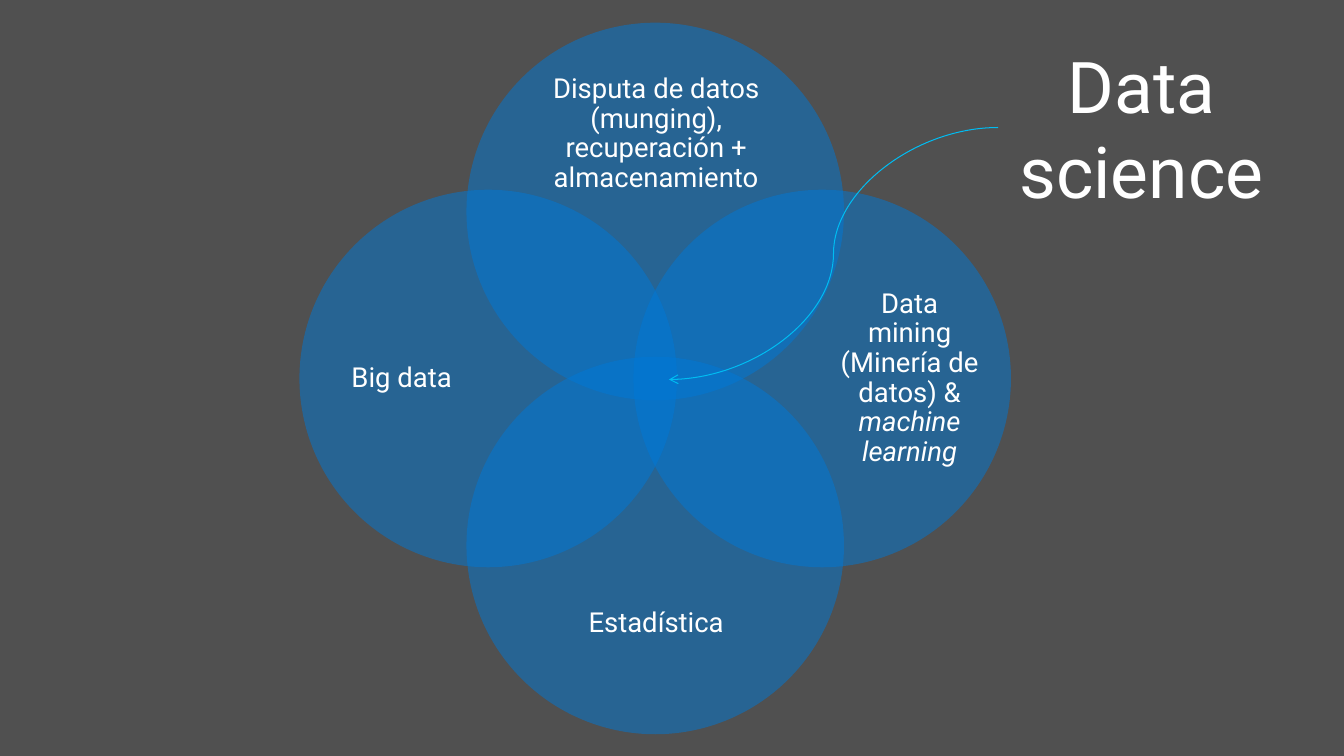
from dataclasses import dataclass

from lxml.etree import SubElement
from pptx import Presentation
from pptx.dml.color import RGBColor as Rgb
from pptx.enum.shapes import MSO_CONNECTOR as Link, MSO_SHAPE as Form
from pptx.enum.text import MSO_ANCHOR as Anchor, PP_ALIGN as Align
from pptx.oxml.ns import qn
from pptx.shapes.autoshape import Shape
from pptx.slide import Slide
from pptx.util import Inches, Pt

HUES = {"back": "505050", "disc": "0078D7", "text": "FFFFFF", "line": "00BCF2"}
FONT = "Roboto"
MID_X, MID_Y = 6.63, 3.83
SIZE = 3.82
STEP = 1.69
WIDE = (2.94, 1.21)
TALL = (1.47, 2.94)


@dataclass
class Disc:
    dx: int
    dy: int
    left: float
    top: float
    size: tuple[float, float]
    text: str
    slant: str = ""


DISCS = [
    Disc(0, -1, 5.17, 0.75, WIDE,
         "Disputa de datos (munging), recuperación + almacenamiento"),
    Disc(1, 0, 8.47, 2.36, TALL,
         "Data mining (Minería de datos) & ", "machine learning"),
    Disc(0, 1, 5.17, 5.71, WIDE, "Estadística"),
    Disc(-1, 0, 3.33, 2.36, TALL, "Big data"),
]


def hue(name: str) -> Rgb:
    return Rgb.from_string(HUES[name])


def add_text(slide: Slide, text: str, *, left: float, top: float, width: float,
             height: float, size: float, slant: str = "", space: float = 1,
             pad_x: float = 0, pad_y: float = 0) -> Shape:
    box = slide.shapes.add_textbox(*map(Inches, (left, top, width, height)))
    frame = box.text_frame
    frame.word_wrap = True
    frame.vertical_anchor = Anchor.MIDDLE
    frame.margin_left = frame.margin_right = Inches(pad_x)
    frame.margin_top = frame.margin_bottom = Inches(pad_y)
    para = frame.paragraphs[0]
    para.alignment = Align.CENTER
    para.line_spacing = space
    for part, tilt in ((text, False), (slant, True)):
        if part:
            run = para.add_run()
            run.text = part
            run.font.name = FONT
            run.font.size = Pt(size)
            run.font.italic = tilt
            run.font.color.rgb = hue("text")
    return box


def add_disc(slide: Slide, disc: Disc) -> None:
    left = MID_X + disc.dx * STEP - SIZE / 2
    top = MID_Y + disc.dy * STEP - SIZE / 2
    oval = slide.shapes.add_shape(
        Form.OVAL, *map(Inches, (left, top, SIZE, SIZE)))
    oval.shadow.inherit = False
    oval.line.fill.background()
    oval.fill.solid()
    oval.fill.fore_color.rgb = hue("disc")
    tint = next(oval._element.spPr.iter(qn("a:srgbClr")))
    SubElement(tint, qn("a:alpha"), val="50000")
    width, height = disc.size
    add_text(slide, disc.text, slant=disc.slant, left=disc.left, top=disc.top,
             width=width, height=height, size=20, space=0.9)


def add_curve(slide: Slide, title: Shape) -> None:
    curve = slide.shapes.add_connector(
        Link.CURVE, *map(Inches, (10.1, 1.29, 6.77, 3.84)))
    curve.begin_connect(title, 1)
    curve.line.color.rgb = hue("line")
    curve.line.width = Pt(0.75)
    SubElement(curve.line._get_or_add_ln(), qn("a:tailEnd"), type="arrow")
    SubElement(curve._element.spPr, qn("a:effectLst"))


def main() -> None:
    deck = Presentation()
    deck.slide_width = Inches(13.6)
    deck.slide_height = Inches(7.65)
    slide = deck.slides.add_slide(deck.slide_layouts[6])
    slide.background.fill.solid()
    slide.background.fill.fore_color.rgb = hue("back")
    for disc in DISCS:
        add_disc(slide, disc)
    title = add_text(slide, "Data science", left=10.1, top=0.16, width=2.9,
                     height=2.26, size=52, pad_x=0.1, pad_y=0.05)
    add_curve(slide, title)
    deck.save("out.pptx")


if __name__ == "__main__":
    main()
